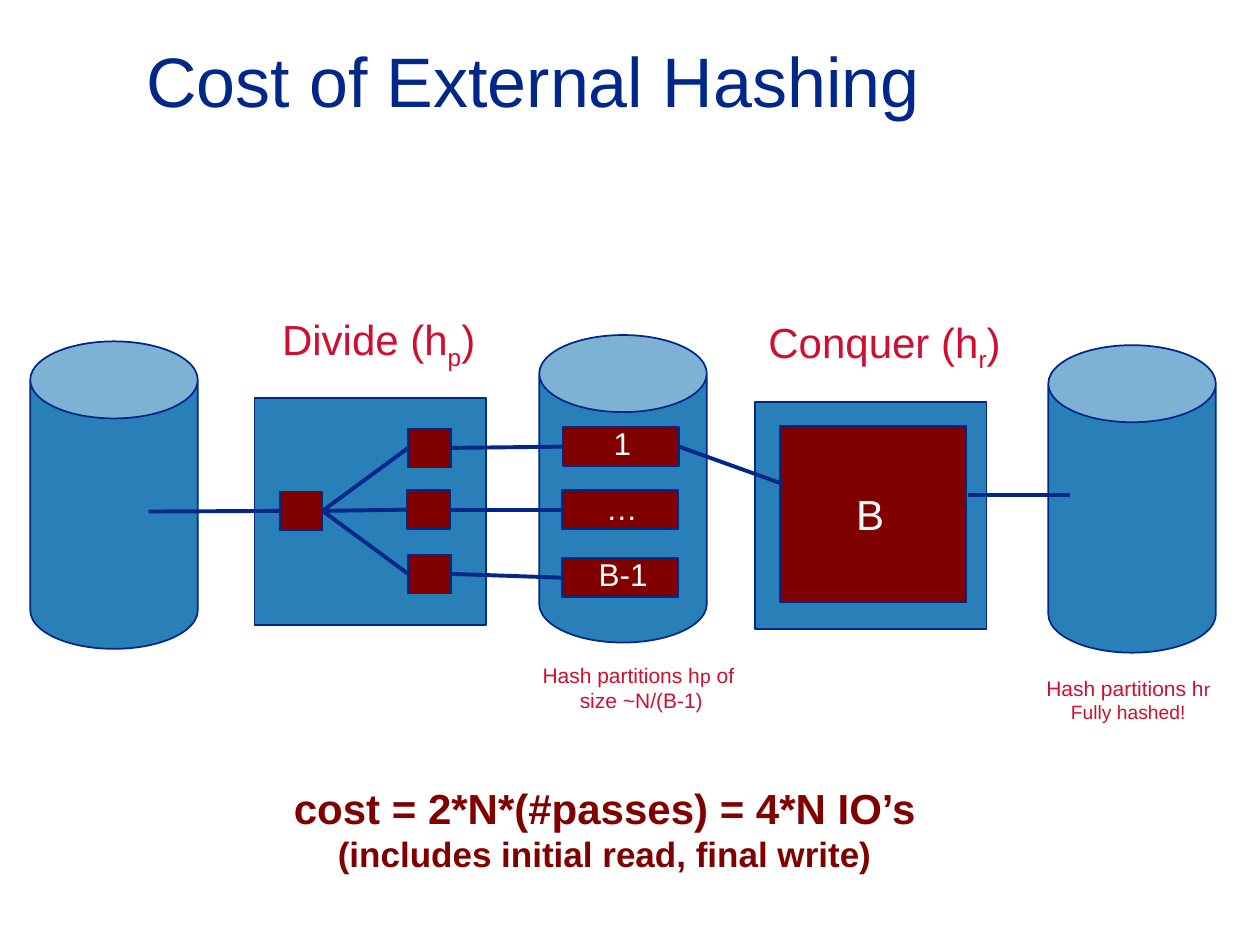
from pptx import Presentation
from pptx.dml.color import RGBColor
from pptx.enum.shapes import MSO_CONNECTOR, MSO_SHAPE
from pptx.enum.text import MSO_ANCHOR, PP_ALIGN
from pptx.oxml.ns import qn
from pptx.util import Inches, Pt
from lxml import etree

NAVY, BLUE, MAROON, RED, WHITE = "002789", "2980B9", "800000", "CF0E30", "FFFFFF"
TOP, LEFT, BOTTOM, RIGHT = range(4)


def colour(value):
    """Turn a hex string into a colour."""
    return RGBColor.from_string(value)


def style_font(font, size, value, bold=False):
    """Set the typeface, size and colour of a font."""
    font.name, font.size, font.bold = "Arial", Pt(size), bold
    font.color.rgb = colour(value)


def add_title(page, text):
    """Fill and place the title placeholder."""
    title = page.shapes.title
    title.left, title.top = Inches(1.06), Inches(0.01)
    title.width, title.height = Inches(8.5), Inches(1.25)
    title.text_frame.text = text
    title.text_frame.vertical_anchor = MSO_ANCHOR.MIDDLE
    para = title.text_frame.paragraphs[0]
    para.alignment = PP_ALIGN.LEFT
    style_font(para.font, 40, NAVY)


def add_block(page, kind, left, top, width, height, fill):
    """Add a filled preset shape with a thin navy outline."""
    block = page.shapes.add_shape(
        kind, Inches(left), Inches(top), Inches(width), Inches(height))
    block.shadow.inherit = False
    block.fill.solid()
    block.fill.fore_color.rgb = colour(fill)
    block.line.color.rgb = colour(NAVY)
    block.line.width = Pt(1)
    return block


def add_disk(page, left, top):
    """Add a disk cylinder."""
    disk = add_block(page, MSO_SHAPE.CAN, left, top, 1.33, 2.44, BLUE)
    disk.adjustments[0] = 0.46


def add_box(page, left, top, width, height, fill=MAROON):
    """Add a rectangle for memory, a buffer or a partition."""
    return add_block(page, MSO_SHAPE.RECTANGLE, left, top, width, height, fill)


def add_link(page, start, end):
    """Join two ends, each a point or a (box, side) pair."""
    link = page.shapes.add_connector(MSO_CONNECTOR.STRAIGHT, 0, 0, 0, 0)
    link.line.color.rgb = colour(NAVY)
    link.line.width = Pt(2.25)
    etree.SubElement(link._element.spPr, qn("a:effectLst"))
    first, second = start
    if isinstance(first, float):
        link.begin_x, link.begin_y = Inches(first), Inches(second)
    else:
        link.begin_connect(first, second)
    first, second = end
    if isinstance(first, float):
        link.end_x, link.end_y = Inches(first), Inches(second)
    else:
        link.end_connect(first, second)


def add_text(page, place, paragraphs, value, align=PP_ALIGN.CENTER, bold=False):
    """Add a text box; each paragraph lists (text, size[, baseline]) spans."""
    box = page.shapes.add_textbox(*map(Inches, place))
    frame = box.text_frame
    frame.word_wrap = False
    for index, spans in enumerate(paragraphs):
        para = frame.paragraphs[0] if index == 0 else frame.add_paragraph()
        para.alignment = align
        style_font(para.font, spans[0][1], value, bold)
        for text, size, *baseline in spans:
            for number, line in enumerate(text.split("\n")):
                if number:
                    para.add_line_break()
                if line:
                    span = para.add_run()
                    span.text = line
                    style_font(span.font, size, value, bold)
                    if baseline:
                        span._r.get_or_add_rPr().set("baseline", str(baseline[0]))


def add_heading(page, place, phase, letter):
    """Add a phase heading with a subscripted hash function."""
    spans = [(f"{phase} (h", 24), (letter, 24, -25000), (")", 24)]
    add_text(page, place, [spans], RED, PP_ALIGN.LEFT)


def add_diagram(page):
    """Draw the disks, the two memory areas and the data flow."""
    for left, top in ((0.24, 2.71), (8.32, 2.74), (4.28, 2.66)):
        add_disk(page, left, top)
    for left, top in ((2.02, 3.16), (5.99, 3.19)):
        add_box(page, left, top, 1.84, 1.8, BLUE)

    reader = add_box(page, 2.22, 3.9, 0.34, 0.31)
    add_box(page, 6.19, 3.38, 1.48, 1.4)
    add_link(page, (1.18, 4.06), (reader, LEFT))
    add_link(page, (8.49, 3.93), (7.68, 3.93))

    partitions = []
    rows = ((3.24, 3.4, 4.47, 3.39), (3.23, 3.89, 4.46, 3.89), (3.24, 4.4, 4.46, 4.43))
    for buffer_left, buffer_top, left, top in rows:
        buffer = add_box(page, buffer_left, buffer_top, 0.34, 0.31)
        partition = add_box(page, left, top, 0.92, 0.31)
        add_link(page, (buffer, LEFT), (reader, RIGHT))
        add_link(page, (buffer, RIGHT), (partition, LEFT))
        partitions.append(partition)
    add_link(page, (partitions[0], RIGHT), (6.21, 3.84))


def add_labels(page):
    """Write the headings, captions, box labels and cost formula."""
    cost = [("cost = 2*N*(#passes) = 4*N IO’s\n", 24),
            ("(includes initial read, final write)", 20)]
    add_text(page, (2.16, 6.16, 5.28, 0.84), [cost], MAROON, bold=True)
    add_heading(page, (6, 2.46, 2.11, 0.5), "Conquer", "r")
    add_heading(page, (2.14, 2.44, 1.83, 0.5), "Divide", "p")
    divided = [("Hash partitions h", 12), ("p", 11), (" of \nsize ~N/(B-1)", 12)]
    add_text(page, (4.18, 5.21, 1.82, 0.5), [divided], RED)
    hashed = [[("Hash partitions h", 12), ("r", 11)], [("Fully hashed!", 11)]]
    add_text(page, (8.19, 5.31, 1.53, 0.5), hashed, RED)
    labels = (("B-1", 18, (4.64, 4.36, 0.61, 0.4)), ("1", 18, (4.77, 3.32, 0.34, 0.4)),
              ("…", 18, (4.71, 3.83, 0.45, 0.4)), ("B", 24, (6.69, 3.83, 0.43, 0.5)))
    for text, size, place in labels:
        add_text(page, place, [[(text, size)]], WHITE)


def main():
    """Build the slide and save the deck."""
    deck = Presentation()
    deck.slide_width, deck.slide_height = Inches(10), Inches(7.5)
    page = deck.slides.add_slide(deck.slide_layouts[5])
    add_title(page, "Cost of External Hashing")
    add_diagram(page)
    add_labels(page)
    deck.save("out.pptx")


if __name__ == "__main__":
    main()
